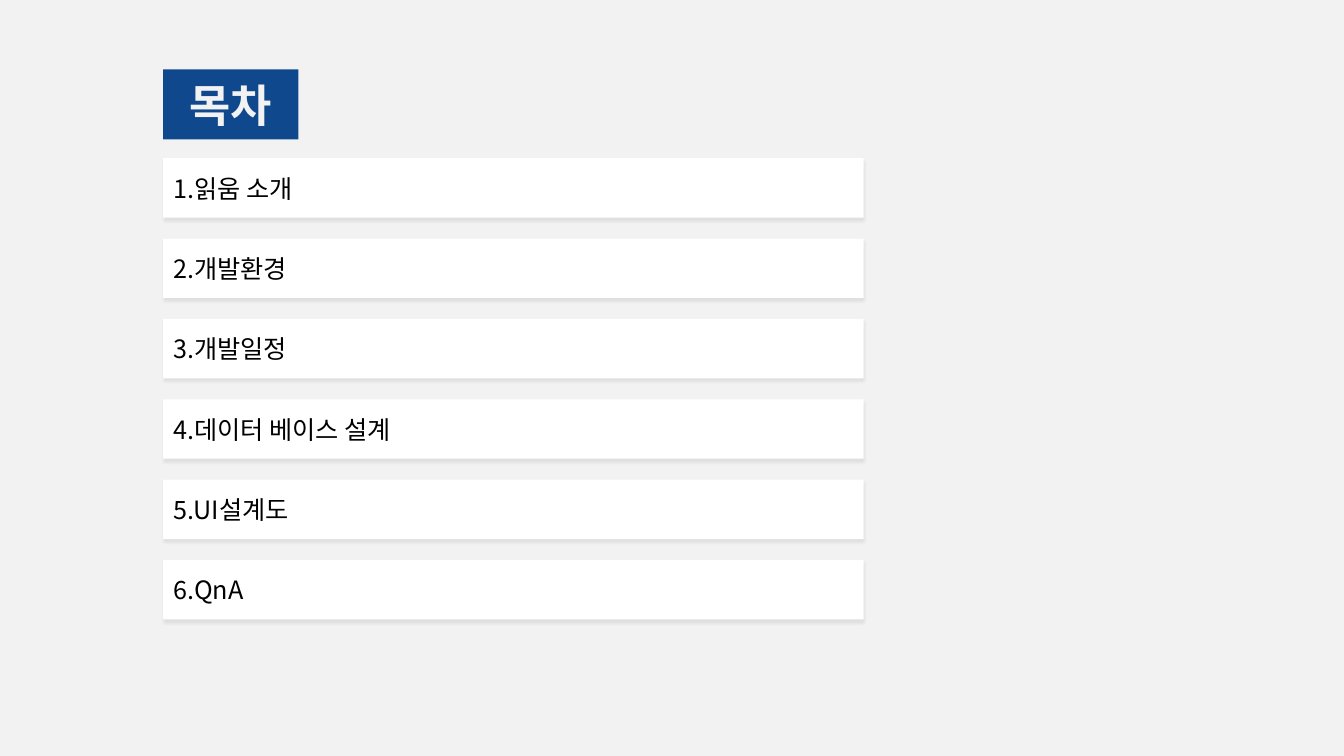
from dataclasses import dataclass

from lxml.etree import SubElement
from pptx import Presentation
from pptx.dml.color import RGBColor
from pptx.enum.shapes import MSO_SHAPE
from pptx.enum.text import MSO_ANCHOR, MSO_AUTO_SIZE, PP_ALIGN
from pptx.oxml.ns import qn
from pptx.shapes.autoshape import Shape
from pptx.slide import Slide
from pptx.util import Pt

FONT = "Noto Sans CJK KR"
GREY = RGBColor(0xF2, 0xF2, 0xF2)
BLUE = RGBColor(0x10, 0x48, 0x8D)
WHITE = RGBColor(0xFF, 0xFF, 0xFF)
BLACK = RGBColor(0x00, 0x00, 0x00)

# Layout in points
LEFT = 116.6
TITLE_TOP, TITLE_WIDTH, TITLE_HEIGHT = 49.6, 96.5, 50
BAR_TOP, BAR_WIDTH, BAR_HEIGHT, BAR_PITCH = 113, 500.4, 42.5, 57.4


@dataclass(frozen=True)
class Chapter:
    number: int
    name: str

    @property
    def label(self) -> str:
        return f"{self.number}.{self.name}"

    @property
    def top(self) -> float:
        return BAR_TOP + (self.number - 1) * BAR_PITCH


CHAPTERS = [
    Chapter(number, name)
    for number, name in enumerate(
        ["읽움 소개", "개발환경", "개발일정", "데이터 베이스 설계", "UI설계도", "QnA"], start=1
    )
]


def write(shape: Shape, text: str, *, size: float, color: RGBColor,
          bold: bool = False, align: PP_ALIGN = PP_ALIGN.LEFT) -> None:
    frame = shape.text_frame
    frame.word_wrap = True
    frame.auto_size = MSO_AUTO_SIZE.NONE
    frame.vertical_anchor = MSO_ANCHOR.MIDDLE
    paragraph = frame.paragraphs[0]
    paragraph.alignment = align
    run = paragraph.add_run()
    run.text = text
    font = run.font
    font.size, font.bold, font.name = Pt(size), bold, FONT
    font.color.rgb = color
    # Hangul takes its typeface from the East Asian slot
    SubElement(font._element, qn("a:ea"), typeface=FONT)


def paint(shape: Shape, color: RGBColor) -> None:
    shape.fill.solid()
    shape.fill.fore_color.rgb = color
    shape.line.fill.background()


def add_soft_shadow(shape: Shape) -> None:
    shape.shadow.inherit = False
    effects = shape._element.spPr.find(qn("a:effectLst"))
    shadow = SubElement(
        effects, qn("a:outerShdw"), blurRad=str(Pt(2)), dist=str(Pt(2)),
        dir="5400000", algn="t", rotWithShape="0",
    )
    black = SubElement(shadow, qn("a:srgbClr"), val=str(BLACK))
    SubElement(black, qn("a:alpha"), val="8000")


def add_title(slide: Slide) -> None:
    title = slide.shapes.title
    title.left, title.top = Pt(LEFT), Pt(TITLE_TOP)
    title.width, title.height = Pt(TITLE_WIDTH), Pt(TITLE_HEIGHT)
    paint(title, BLUE)
    write(title, "목차", size=32, color=GREY, bold=True, align=PP_ALIGN.CENTER)


def add_chapter(slide: Slide, chapter: Chapter) -> None:
    bar = slide.shapes.add_shape(
        MSO_SHAPE.RECTANGLE, Pt(LEFT), Pt(chapter.top), Pt(BAR_WIDTH), Pt(BAR_HEIGHT)
    )
    paint(bar, WHITE)
    add_soft_shadow(bar)
    write(bar, chapter.label, size=18, color=BLACK)


def main() -> None:
    presentation = Presentation()
    presentation.slide_width, presentation.slide_height = Pt(960), Pt(540)
    slide = presentation.slides.add_slide(presentation.slide_layouts.get_by_name("Title Only"))

    # Background
    slide.background.fill.solid()
    slide.background.fill.fore_color.rgb = GREY

    # Heading and contents list
    add_title(slide)
    for chapter in CHAPTERS:
        add_chapter(slide, chapter)

    presentation.save("out.pptx")


if __name__ == "__main__":
    main()
